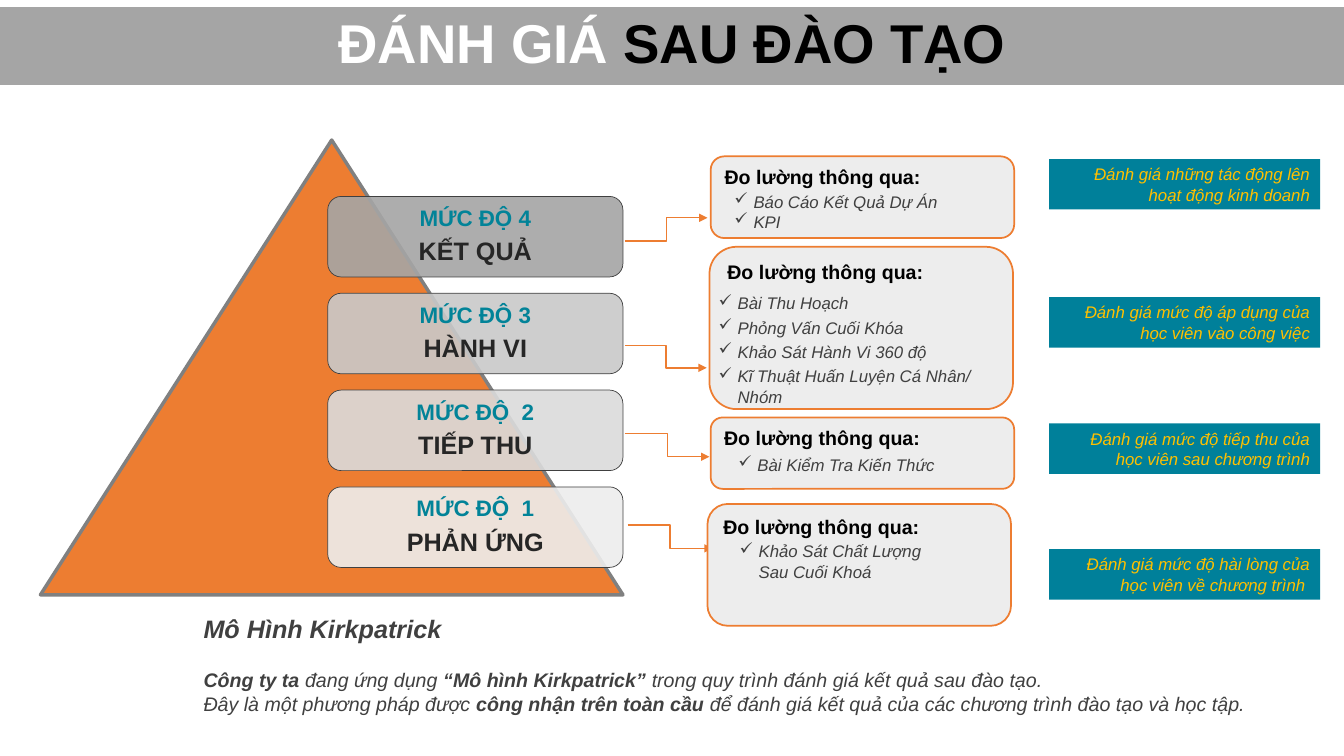
from pptx import Presentation
from pptx import util as u
from pptx.dml.color import RGBColor
from pptx.enum import shapes, text
from pptx.oxml.ns import qn
from lxml import etree

ORANGE, TEAL, GREY, DARK = "ED7D31", "00809A", "A5A5A5", "404040"
SHAPE, ALIGN, ANCHOR = shapes.MSO_SHAPE, text.PP_ALIGN, text.MSO_ANCHOR

# level, name, fill, top of its block
LEVELS = [
    ("MỨC ĐỘ 4", "KẾT QUẢ", "A5A5A5"),
    ("MỨC ĐỘ 3", "HÀNH VI", "C9C9C9"),
    ("MỨC ĐỘ  2", "TIẾP THU", "DBDBDB"),
    ("MỨC ĐỘ  1", "PHẢN ỨNG", "EDEDED"),
]
FIRST_LEVEL_TOP, LEVEL_PITCH = 4.95, 2.44

# arrow (x1, y1, x2, y2), card (left, top, height)
MEASURES = [
    ((15.82, 13.23, 17.96, 13.82), (17.83, 12.7, 3.07)),
    ((15.75, 10.92, 17.88, 11.51), (17.91, 10.52, 1.8)),
    ((15.75, 8.71, 17.81, 9.27), (17.88, 6.22, 4.09)),
    ((15.75, 6.07, 17.83, 5.49), (17.91, 3.94, 2.06)),
]
PURPOSES = [
    (4.01, "Đánh giá những tác động lên hoạt động kinh doanh"),
    (7.49, "Đánh giá mức độ áp dụng của học viên vào công việc"),
    (10.67, "Đánh giá mức độ tiếp thu của học viên sau chương trình"),
    (13.84, "Đánh giá mức độ hài lòng của học viên về chương trình "),
]
# box, space before each further item, items
CHECKLISTS = [
    ((18.26, 4.7, 7.57, 1.27), 0, ["Báo Cáo Kết Quả Dự Án", "KPI"]),
    ((17.86, 7.26, 7.98, 3.15), 3,
     ["Bài Thu Hoạch", "Phỏng Vấn Cuối Khóa", "Khảo Sát Hành Vi 360 độ",
      "Kĩ Thuật Huấn Luyện Cá Nhân/ Nhóm"]),
    ((18.36, 11.33, 7.57, 0.76), 0, ["Bài Kiểm Tra Kiến Thức"]),
    ((18.39, 13.51, 7.57, 1.27), 0, ["Khảo Sát Chất Lượng \nSau Cuối Khoá"]),
]


def rgb(value):
    return RGBColor.from_string(value)


def cm(*lengths):
    return [u.Cm(length) for length in lengths]


def add_run(paragraph, words, size, color, bold=False, italic=False):
    for i, line in enumerate(words.split("\n")):
        if i:
            paragraph.add_line_break()
        run = paragraph.add_run()
        run.text = line
        font = run.font
        font.name, font.size = "Arial", u.Pt(size)
        font.bold, font.italic = bold, italic
        font.color.rgb = rgb(color)


def next_paragraph(frame, index):
    return frame.add_paragraph() if index else frame.paragraphs[0]


def add_block(slide, kind, box, fill, line=None, width=1.0, anchor=ANCHOR.TOP):
    block = slide.shapes.add_shape(kind, *cm(*box))
    block.shadow.inherit = False
    block.fill.solid()
    block.fill.fore_color.rgb = rgb(fill)
    if line:
        block.line.color.rgb = rgb(line)
        block.line.width = u.Pt(width)
    else:
        block.line.fill.background()
    block.text_frame.word_wrap = True
    block.text_frame.vertical_anchor = anchor
    return block


def add_text(slide, box):
    frame = slide.shapes.add_textbox(*cm(*box)).text_frame
    frame.word_wrap = True
    return frame


def add_title(slide):
    title = slide.shapes.title
    title.left, title.top, title.width, title.height = cm(0, 0.18, 33.87, 1.96)
    title.fill.solid()
    title.fill.fore_color.rgb = rgb(GREY)
    frame = title.text_frame
    frame.auto_size = text.MSO_AUTO_SIZE.NONE
    frame.vertical_anchor = ANCHOR.MIDDLE
    heading = frame.paragraphs[0]
    heading.alignment, heading.line_spacing = ALIGN.CENTER, 0.9
    add_run(heading, "ĐÁNH GIÁ ", 39, "FFFFFF", bold=True)
    add_run(heading, "SAU ĐÀO TẠO", 39, "000000", bold=True)


def add_level(slide, top, level, name, fill):
    block = add_block(slide, SHAPE.ROUNDED_RECTANGLE, (8.26, top, 7.44, 2.03),
                      fill, DARK, 0.5, ANCHOR.MIDDLE)
    color = block.fill._xPr.find(qn("a:solidFill"))[0]
    etree.SubElement(color, qn("a:alpha"), val="90000")
    frame = block.text_frame
    frame.margin_top = frame.margin_bottom = u.Cm(0.18)
    for i, (words, size, tint) in enumerate([(level, 16, "028398"), (name, 18, "262626")]):
        paragraph = next_paragraph(frame, i)
        paragraph.alignment, paragraph.line_spacing = ALIGN.CENTER, 0.9
        paragraph.space_after = u.Pt(5.5)
        add_run(paragraph, words, size, tint, bold=True)


def add_arrow(slide, ends):
    arrow = slide.shapes.add_connector(shapes.MSO_CONNECTOR.ELBOW, *cm(*ends))
    arrow.line.color.rgb = rgb(ORANGE)
    arrow.line.width = u.Pt(1)
    etree.SubElement(arrow.line._get_or_add_ln(), qn("a:tailEnd"), type="triangle")
    etree.SubElement(arrow._element.spPr, qn("a:effectLst"))


def add_card(slide, left, top, height):
    card = add_block(slide, SHAPE.ROUNDED_RECTANGLE, (left, top, 7.65, height),
                     "EDEDED", ORANGE, 1.25)
    heading = card.text_frame.paragraphs[0]
    heading.alignment = ALIGN.LEFT
    add_run(heading, "Đo lường thông qua:", 14, "000000", bold=True)


def add_purpose(slide, top, words):
    purpose = add_block(slide, SHAPE.RECTANGLE, (26.44, top, 6.83, 1.27), TEAL)
    paragraph = purpose.text_frame.paragraphs[0]
    paragraph.alignment = ALIGN.RIGHT
    add_run(paragraph, words, 12, "FFC000", italic=True)


def add_checklist(slide, box, gap, items):
    frame = add_text(slide, box)
    for i, item in enumerate(items):
        paragraph = next_paragraph(frame, i)
        properties = paragraph._p.get_or_add_pPr()
        properties.set("marL", str(u.Cm(0.48)))
        properties.set("indent", str(-u.Cm(0.48)))
        etree.SubElement(properties, qn("a:buChar"), char="✓")
        if i:
            paragraph.space_before = u.Pt(gap)
        add_run(paragraph, item, 12, DARK, italic=True)


def add_summary(slide):
    summary = add_text(slide, (4.88, 16.71, 27.76, 1.45))
    lines = [
        [("Công ty ta ", True), ("đang ứng dụng ", False),
         ("“Mô hình Kirkpatrick” ", True),
         ("trong quy trình đánh giá kết quả sau đào tạo.", False)],
        [("Đây là một phương pháp được ", False), ("công nhận trên toàn cầu ", True),
         ("để đánh giá kết quả của các chương trình đào tạo và học tập.", False)],
    ]
    for i, line in enumerate(lines):
        paragraph = next_paragraph(summary, i)
        for words, bold in line:
            add_run(paragraph, words, 14, DARK, bold, italic=True)
    caption = add_text(slide, (4.88, 15.34, 8.51, 1.02))
    add_run(caption.paragraphs[0], "Mô Hình Kirkpatrick", 18, DARK, bold=True, italic=True)


def main():
    deck = Presentation()
    deck.slide_width, deck.slide_height = cm(33.87, 19.05)
    slide = deck.slides.add_slide(deck.slide_layouts[5])
    add_title(slide)
    add_block(slide, SHAPE.ISOSCELES_TRIANGLE, (1.02, 3.53, 14.68, 11.46),
              ORANGE, "808080", 2.5)
    for i, level in enumerate(LEVELS):
        add_level(slide, FIRST_LEVEL_TOP + i * LEVEL_PITCH, *level)
    for arrow, card in MEASURES:
        add_arrow(slide, arrow)
        add_card(slide, *card)
    for purpose in PURPOSES:
        add_purpose(slide, *purpose)
    add_summary(slide)
    for checklist in CHECKLISTS:
        add_checklist(slide, *checklist)
    deck.save("out.pptx")


if __name__ == "__main__":
    main()
